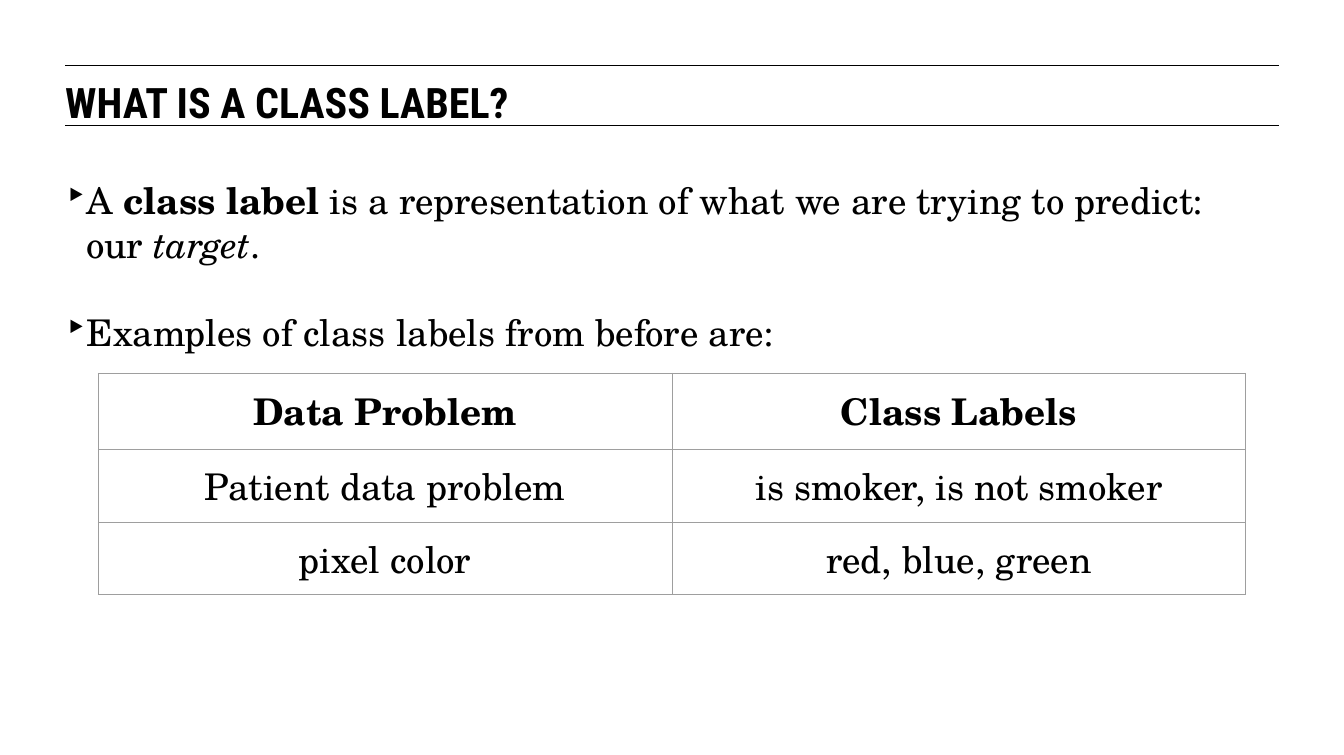
"""Build the slide that explains what a class label is."""
import pptx
import pptx.dml.color
import pptx.enum.shapes
import pptx.enum.text
import pptx.oxml
import pptx.oxml.ns
import pptx.util

WIDTH, HEIGHT = pptx.util.Inches(14.22), pptx.util.Inches(7.99)
COLUMNS, ROWS = 128, 72
LEFT, SPAN = 6.2, 115.6
COLORS = {"ink": "000000", "grid": "9E9E9E"}
HEADING_FONT, BODY_FONT = "Roboto Condensed", "TeX Gyre Schola"
BULLETS = [
    [("A ", ""), ("class label", "bold"),
     (" is a representation of what we are trying to predict: our ", ""),
     ("target", "italic"), (".", "")],
    [("Examples of class labels from before are:", "")],
]
LABELS = [
    ("Data Problem", "Class Labels"),
    ("Patient data problem", "is smoker, is not smoker"),
    ("pixel color", "red, blue, green"),
]
ROW_HEIGHTS = [7.25, 6.9, 6.9]


def across(columns):
    """Return the width of a number of grid columns."""
    return round(WIDTH * columns / COLUMNS)


def down(rows):
    """Return the height of a number of grid rows."""
    return round(HEIGHT * rows / ROWS)


def area(left, top, width, height):
    """Return a grid area as slide lengths."""
    return across(left), down(top), across(width), down(height)


def add_xml(parent, markup):
    """Append a drawing element to a parent element."""
    name, _, rest = markup.partition(" ")
    namespace = pptx.oxml.ns.nsdecls("a")
    parent.append(pptx.oxml.parse_xml(f"<a:{name} {namespace} {rest}"))


def style_span(span, size, font=BODY_FONT, style=""):
    """Set the font, size, colour and style of a run."""
    span.font.name = font
    span.font.size = pptx.util.Pt(size)
    span.font.bold = style == "bold"
    span.font.italic = style == "italic"
    span.font.color.rgb = pptx.dml.color.RGBColor.from_string(COLORS["ink"])


def prepare_frame(frame):
    """Make a text frame wrap, without insets or fitting."""
    frame.word_wrap = True
    frame.auto_size = pptx.enum.text.MSO_AUTO_SIZE.NONE
    frame.vertical_anchor = pptx.enum.text.MSO_ANCHOR.TOP
    frame.margin_left = frame.margin_right = 0
    frame.margin_top = frame.margin_bottom = 0


def add_rule(page, row):
    """Draw a thin horizontal rule across the page."""
    rule = page.shapes.add_connector(
        pptx.enum.shapes.MSO_CONNECTOR.STRAIGHT,
        across(LEFT), down(row), across(LEFT + SPAN), down(row))
    rule.line.width = pptx.util.Pt(0.75)
    rule.line.color.rgb = pptx.dml.color.RGBColor.from_string(COLORS["ink"])
    add_xml(rule._element.spPr, "effectLst />")


def set_title(page, text):
    """Place and format the title placeholder."""
    title = page.shapes.title
    title.left, title.top, title.width, title.height = area(LEFT, 7.3, SPAN, 4.25)
    prepare_frame(title.text_frame)
    title.text_frame.text = text
    para = title.text_frame.paragraphs[0]
    para.alignment = pptx.enum.text.PP_ALIGN.LEFT
    style_span(para.runs[0], 32, HEADING_FONT, "bold")


def add_bullets(page, bullets):
    """Add the bulleted statements, one line apart."""
    box = page.shapes.add_textbox(*area(LEFT, 16.95, 112.5, 17))
    frame = box.text_frame
    prepare_frame(frame)
    for index, pieces in enumerate(bullets):
        para = frame.add_paragraph() if index else frame.paragraphs[0]
        para.space_before = pptx.util.Pt(33.6 if index else 0)
        properties = para._p.get_or_add_pPr()
        properties.set("marL", str(across(2)))
        properties.set("indent", str(-across(2)))
        add_xml(properties, 'buChar char="‣"/>')
        for text, style in pieces:
            span = para.add_run()
            span.text = text
            style_span(span, 28, style=style)


def format_cell(cell, text, style):
    """Write centred text in a plain cell with thin borders."""
    cell.text = text
    cell.vertical_anchor = pptx.enum.text.MSO_ANCHOR.MIDDLE
    cell.margin_left = cell.margin_right = pptx.util.Inches(0.1)
    cell.margin_top = cell.margin_bottom = pptx.util.Inches(0.1)
    para = cell.text_frame.paragraphs[0]
    para.alignment = pptx.enum.text.PP_ALIGN.CENTER
    style_span(para.runs[0], 28, style=style)
    properties = cell._tc.get_or_add_tcPr()
    for side in ("lnL", "lnR", "lnT", "lnB"):
        add_xml(properties, f'{side} w="{pptx.util.Pt(0.75)}"><a:solidFill>'
                f'<a:srgbClr val="{COLORS["grid"]}"/></a:solidFill></a:{side}>')
    cell.fill.background()


def add_label_table(page, labels):
    """Add the table of data problems and their class labels."""
    place = area(9.35, 35.6, 109.3, sum(ROW_HEIGHTS))
    table = page.shapes.add_table(len(labels), len(labels[0]), *place).table
    table.first_row = table.horz_banding = False
    for row, texts in enumerate(labels):
        table.rows[row].height = down(ROW_HEIGHTS[row])
        for column, text in enumerate(texts):
            format_cell(table.cell(row, column), text, "" if row else "bold")


def main():
    """Build and save the deck."""
    deck = pptx.Presentation()
    deck.slide_width, deck.slide_height = WIDTH, HEIGHT
    page = deck.slides.add_slide(deck.slide_layouts.get_by_name("Title Only"))
    for row in (6.25, 12):
        add_rule(page, row)
    set_title(page, "WHAT IS A CLASS LABEL?")
    add_bullets(page, BULLETS)
    add_label_table(page, LABELS)
    deck.save("out.pptx")


if __name__ == "__main__":
    main()
